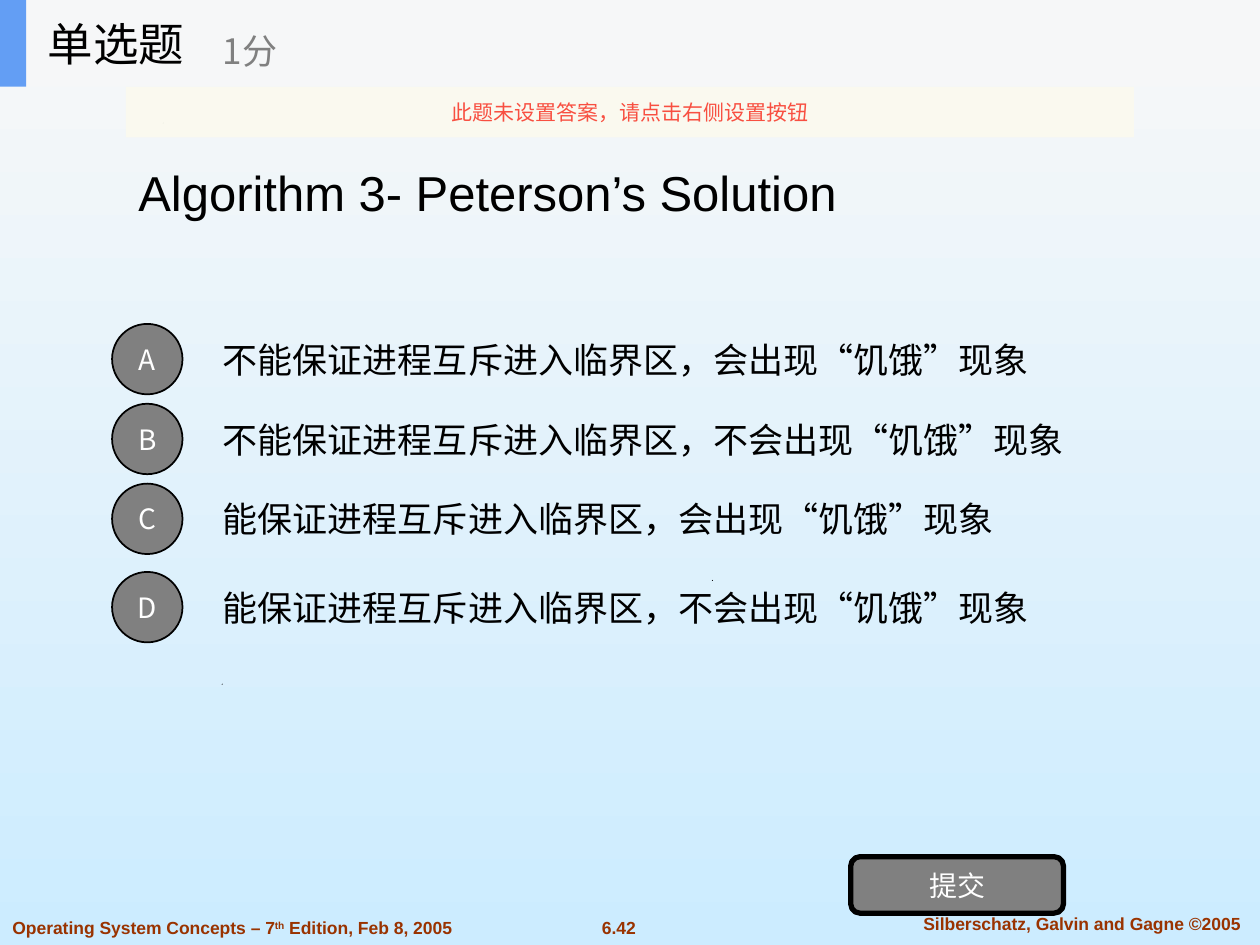
from dataclasses import dataclass

from lxml import etree
from pptx import Presentation
from pptx.dml.color import RGBColor
from pptx.enum.shapes import MSO_SHAPE
from pptx.enum.text import MSO_ANCHOR, PP_ALIGN
from pptx.oxml.ns import qn
from pptx.util import Cm, Pt

RECTANGLE = MSO_SHAPE.RECTANGLE
ROUNDED = MSO_SHAPE.ROUNDED_RECTANGLE
OVAL = MSO_SHAPE.OVAL
LEFT, CENTER = PP_ALIGN.LEFT, PP_ALIGN.CENTER
TOP, MIDDLE = MSO_ANCHOR.TOP, MSO_ANCHOR.MIDDLE


@dataclass(frozen=True)
class Theme:
    """Colours, fonts and type sizes of the slide."""

    sky_top: str = "F8F8F8"
    sky_bottom: str = "CCECFF"
    bar: str = "F6F7F8"
    accent: str = "639EF4"
    banner: str = "FBFAEF"
    warning: str = "F84F41"
    ink: str = "000000"
    grey: str = "808080"
    white: str = "FFFFFF"
    footer: str = "993300"
    latin: str = "Arial"
    chinese: str = "Noto Sans CJK SC"
    question_size: int = 28
    heading_size: int = 26
    option_size: int = 20
    button_size: int = 16
    banner_size: int = 12
    footer_size: int = 10


THEME = Theme()
OPTIONS = [
    ("A", 6.35, "不能保证进程互斥进入临界区，会出现“饥饿”现象"),
    ("B", 7.96, "不能保证进程互斥进入临界区，不会出现“饥饿”现象"),
    ("C", 9.57, "能保证进程互斥进入临界区，会出现“饥饿”现象"),
    ("D", 11.35, "能保证进程互斥进入临界区，不会出现“饥饿”现象"),
]
SPECKS = [(4.47, 13.78), (3.3, 11.68), (14.35, 11.69), (3.28, 2.47)]


def write(shape, pieces, size, color, font=THEME.chinese, align=LEFT, anchor=MIDDLE, bold=False):
    """Fill a shape with one paragraph made of the given pieces."""
    frame = shape.text_frame
    frame.word_wrap = True
    frame.vertical_anchor = anchor
    para = frame.paragraphs[0]
    para.alignment = align
    for piece in pieces:
        span = para.add_run()
        span.text = piece
        span.font.size = Pt(size)
        span.font.bold = bold
        span.font.color.rgb = RGBColor.from_string(color)
        span.font.name = font
        etree.SubElement(span.font._element, qn("a:ea"), typeface=font)
    return para


def add_label(shapes, box, pieces, size, color, **style):
    """Add a text box holding one paragraph."""
    label = shapes.add_textbox(*map(Cm, box))
    return write(label, pieces, size, color, **style)


def add_panel(shapes, kind, box, fill, line_width=0):
    """Add a flat preset shape, outlined when a line width is given."""
    panel = shapes.add_shape(kind, *map(Cm, box))
    panel.shadow.inherit = False
    panel.fill.solid()
    panel.fill.fore_color.rgb = RGBColor.from_string(fill)
    if line_width:
        panel.line.color.rgb = RGBColor.from_string(THEME.ink)
        panel.line.width = Pt(line_width)
    else:
        panel.line.fill.background()
    return panel


def add_button(shapes, kind, box, caption, line_width):
    """Add a grey button with a centred white caption."""
    button = add_panel(shapes, kind, box, THEME.grey, line_width)
    frame = button.text_frame
    frame.margin_left = frame.margin_right = frame.margin_top = frame.margin_bottom = 0
    write(button, [caption], THEME.button_size, THEME.white, align=CENTER)


def paint_background(page):
    """Paint the vertical gradient behind the slide."""
    fill = page.background.fill
    fill.gradient()
    fill.gradient_angle = 270
    for stop, color in zip(fill.gradient_stops, (THEME.sky_top, THEME.sky_bottom)):
        stop.color.rgb = RGBColor.from_string(color)


def add_specks(shapes, places, size):
    """Scatter tiny black triangles at the given places."""
    for left, top in places:
        outline = shapes.build_freeform(Cm(left), Cm(top + size))
        outline.add_line_segments([(Cm(left + size), Cm(top)), (Cm(left + size), Cm(top + size))])
        speck = outline.convert_to_shape()
        speck.shadow.inherit = False
        speck.fill.solid()
        speck.fill.fore_color.rgb = RGBColor.from_string(THEME.ink)
        speck.line.fill.background()


def add_footer(shapes, box):
    """Add the book title, page number and authors along the bottom."""
    left, top, width, height = box
    style = {"font": THEME.latin, "anchor": TOP, "bold": True}
    size, color = THEME.footer_size, THEME.footer
    title = add_label(shapes, (left, top, 10.44, height),
                      ["Operating System Concepts – 7", "th", " Edition, Feb 8, 2005"], size, color, **style)
    title.runs[1].font._element.set("baseline", "30000")
    add_label(shapes, (left + 11.66, top, 1.63, height), ["6.42"], size, color, align=CENTER, **style)
    add_label(shapes, (left + width - 7.36, top - 0.08, 7.54, height),
              ["Silberschatz, Galvin and Gagne ©2005"], size, color, align=CENTER, **style)


def add_option(shapes, box, letter, answer):
    """Add one answer row: a lettered circle and its text."""
    left, top, width, height = box
    circle = 1.42
    indent = 1.98
    add_label(shapes, (left + indent, top, width - indent, height), [answer], THEME.option_size, THEME.ink)
    add_button(shapes, OVAL, (left, top + (height - circle) / 2, circle, circle), letter, 1)


def add_header(shapes, box):
    """Add the grouped top bar with question type and score."""
    left, top, width, height = box
    group = shapes.add_group_shape().shapes
    add_panel(group, RECTANGLE, box, THEME.bar)
    add_panel(group, RECTANGLE, (left, top, 0.53, height), THEME.accent)
    add_label(group, (left + 0.71, top, 5.28, height), ["单选题"], THEME.heading_size, THEME.ink)
    add_label(group, (left + 4.24, top + 0.3, 6.35, 1.42), ["1分"], THEME.option_size, THEME.grey)


def add_banner(shapes, box):
    """Add the translucent warning strip."""
    banner = add_panel(shapes, RECTANGLE, box, THEME.banner)
    color = banner.fill._xPr.find(f"{qn('a:solidFill')}/{qn('a:srgbClr')}")
    etree.SubElement(color, qn("a:alpha"), val="90000")
    write(banner, ["此题未设置答案，请点击右侧设置按钮"], THEME.banner_size, THEME.warning, align=CENTER)


def main():
    """Build the question slide and save it."""
    deck = Presentation()
    deck.slide_width, deck.slide_height = Cm(25.4), Cm(19.05)
    page = deck.slides.add_slide(deck.slide_layouts[6])
    shapes = page.shapes
    paint_background(page)
    add_specks(shapes, SPECKS, 0.02)
    add_footer(shapes, (0, 18.36, 25.4, 0.69))
    add_label(shapes, (2.54, 1.75, 20.32, 4.24), ["Algorithm 3- Peterson’s Solution"],
              THEME.question_size, THEME.ink, font=THEME.latin)
    for letter, top, answer in OPTIONS:
        add_option(shapes, (2.26, top, 19.76, 1.78), letter, answer)
    add_button(shapes, ROUNDED, (17.15, 17.27, 4.29, 1.14), "提交", 3)
    add_header(shapes, (0, 0, 25.4, 1.75))
    add_banner(shapes, (2.54, 1.75, 20.32, 1.02))
    deck.save("out.pptx")


if __name__ == "__main__":
    main()
